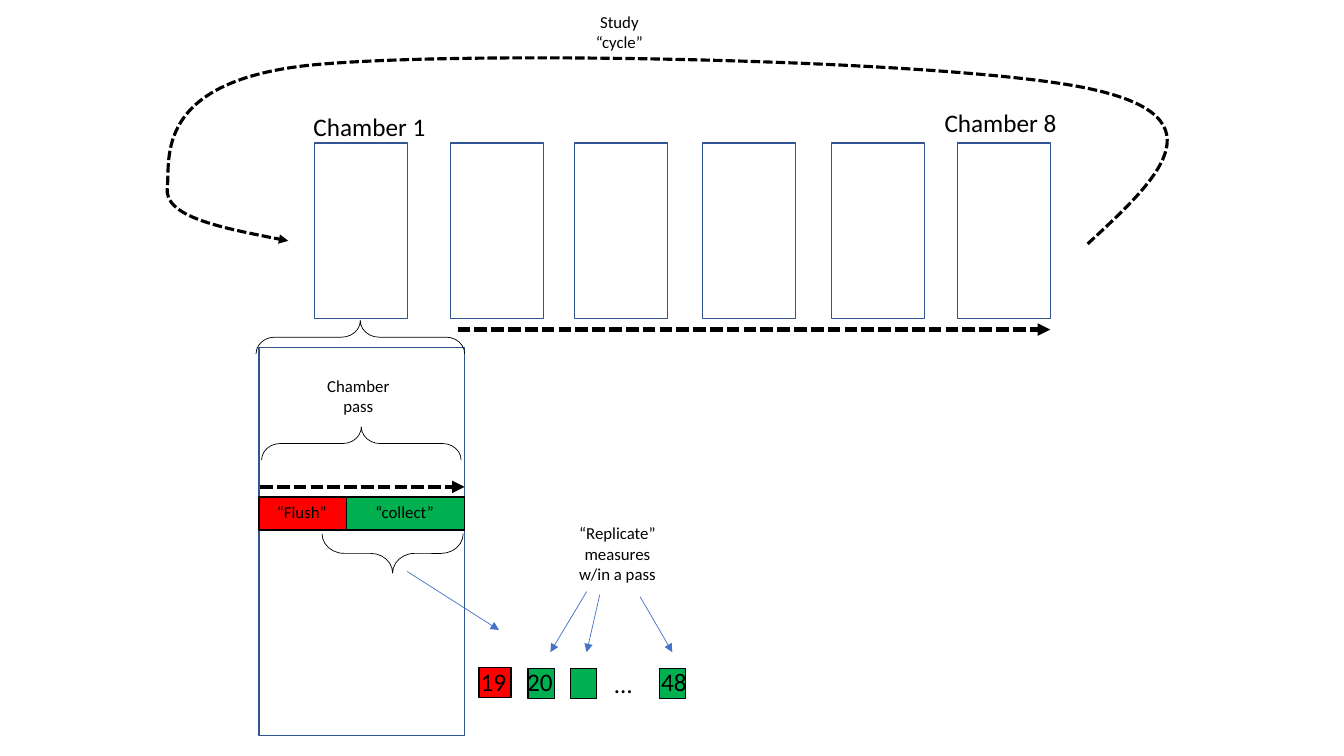
from lxml.etree import SubElement
from pptx import Presentation
from pptx.dml.color import RGBColor
from pptx.enum.dml import MSO_LINE_DASH_STYLE as Dash
from pptx.enum.shapes import MSO_CONNECTOR as Connector, MSO_SHAPE as Preset
from pptx.enum.text import MSO_AUTO_SIZE as AutoSize, PP_ALIGN as Align
from pptx.oxml.ns import qn
from pptx.util import Inches, Pt

COLORS = {
    "outline": "325491",
    "arrow": "4472C4",
    "flush": "FF0000",
    "collect": "00B050",
    "paper": "FFFFFF",
    "ink": "000000",
}
FONT = "Calibri"
COLUMNS, ROWS = 133.33, 75  # square grid cells of a tenth of an inch
CELL = Inches(0.1)


def grid(*cells):
    return [round(cell * CELL) for cell in cells]


def color(name):
    return RGBColor.from_string(COLORS[name])


def style_line(shape, name, width, dashed=False, arrow=False):
    line = shape.line
    line.color.rgb = color(name)
    line.width = Pt(width)
    if dashed:
        line.dash_style = Dash.SQUARE_DOT
    if arrow:
        SubElement(line._get_or_add_ln(), qn("a:tailEnd"), type="triangle")


def add_box(page, left, top, width, height, fill="paper", edge="ink"):
    box = page.shapes.add_shape(Preset.RECTANGLE, *grid(left, top, width, height))
    box.shadow.inherit = False
    box.fill.solid()
    box.fill.fore_color.rgb = color(fill)
    style_line(box, edge, 1)


def add_label(page, text, left, top, width, height, size=12, align=Align.CENTER):
    label = page.shapes.add_textbox(*grid(left, top, width, height))
    frame = label.text_frame
    frame.word_wrap = True
    frame.auto_size = AutoSize.SHAPE_TO_FIT_TEXT
    para = frame.paragraphs[0]
    para.text = text
    para.alignment = align
    para.font.name = FONT
    para.font.size = Pt(size)
    para.font.color.rgb = color("ink")


def add_brace(page, left, top, depth, span, rotation):
    brace = page.shapes.add_shape(Preset.RIGHT_BRACE, *grid(left, top, depth, span))
    brace.shadow.inherit = False
    brace.rotation = rotation
    brace.adjustments[0] = 0.56
    brace.fill.background()
    style_line(brace, "ink", 0.5)


def add_arrow(page, start, end, name="arrow", width=0.5, dashed=False):
    arrow = page.shapes.add_connector(Connector.STRAIGHT, *grid(*start, *end))
    style_line(arrow, name, width, dashed, arrow=True)
    SubElement(arrow._element.spPr, qn("a:effectLst"))


def add_curve(page, frame, start, bends):
    left, top, width, height = grid(*frame)
    builder = page.shapes.build_freeform(*grid(*start))
    builder.add_line_segments([grid(*bend[-1]) for bend in bends], close=False)
    curve = builder.convert_to_shape()
    curve.left, curve.top, curve.width, curve.height = left, top, width, height
    curve.shadow.inherit = False
    curve.fill.background()

    # Turn the straight segments into Bezier bends
    path = next(curve._element.iter(qn("a:path")))
    path.set("w", str(width))
    path.set("h", str(height))
    for segment in list(path):
        path.remove(segment)
    for tag, points in [("a:moveTo", [start])] + [("a:cubicBezTo", b) for b in bends]:
        segment = SubElement(path, qn(tag))
        for point in points:
            x, y = grid(*point)
            SubElement(segment, qn("a:pt"), x=str(x - left), y=str(y - top))
    style_line(curve, "ink", 2.25, dashed=True, arrow=True)


def add_chambers(page):
    for left in (31.2, 44.7, 57, 69.7, 82.5, 95):
        add_box(page, left, 14.2, 9.2, 17.4, edge="outline")
    add_label(page, "Chamber 1", 29.6, 10.6, 14.1, 4, size=18)
    add_label(page, "Chamber 8", 92.2, 10.2, 14.1, 4, size=18)


def add_cycle(page):
    add_curve(page, (16.6, 5.8, 99.2, 18.4), (107.9, 24.2), [
        [(114.6, 18), (121.4, 11.8), (108.5, 8.9)],
        [(95.6, 5.9), (45.8, 4.9), (30.5, 6.5)],
        [(15.2, 8.2), (16.9, 15.8), (16.6, 18.6)],
        [(16.2, 21.5), (22.4, 22.7), (28.6, 23.9)],
    ])
    add_label(page, "Study “cycle”", 57.1, 0.7, 8.7, 5)
    add_arrow(page, (45.4, 32.7), (104.2, 32.7), "ink", 3, dashed=True)


def add_chamber_pass(page):
    add_box(page, 25.7, 34.5, 20.4, 38.5, edge="outline")
    add_box(page, 25.7, 49.3, 8.7, 3.3, "flush")
    add_box(page, 34.4, 49.3, 11.7, 3.3, "collect")
    add_label(page, "“Flush”", 26.3, 49.3, 7.3, 3)
    add_label(page, "“collect”", 35.8, 49.3, 8.7, 3)
    add_label(page, "Chamber pass", 31.2, 36.8, 8.7, 5)
    add_arrow(page, (25.8, 48.3), (46.1, 48.3), "ink", 3, dashed=True)
    add_brace(page, 34.2, 34.1, 3.3, 19.8, 270)
    add_brace(page, 34.1, 23.1, 3.3, 20.7, 270)


def add_replicates(page):
    for left in (52.4, 56.6, 65.4):
        add_box(page, left, 66.3, 2.6, 3, "collect")
    add_box(page, 47.5, 66.2, 3.2, 3, "flush")
    for text, left, top in (("19", 46.7, 65.6), ("20", 51.3, 65.6),
                            ("…", 60, 65.8), ("48", 64.6, 65.6)):
        add_label(page, text, left, top, 4.9, 4, size=18, align=Align.LEFT)
    add_label(page, "“Replicate” measures w/in a pass", 55.8, 51.4, 10.9, 7.1)
    for start, end in (((58.2, 58.7), (54.6, 64.7)), ((59.5, 59), (58.2, 64.7)),
                       ((63.5, 59.2), (66.7, 64.7)), ((40.4, 56.7), (49.5, 62.5))):
        add_arrow(page, start, end)
    add_brace(page, 37, 47.9, 3.9, 14, 90)


def main():
    deck = Presentation()
    deck.slide_width, deck.slide_height = grid(COLUMNS, ROWS)
    page = deck.slides.add_slide(deck.slide_layouts[6])
    add_chambers(page)
    add_cycle(page)
    add_chamber_pass(page)
    add_replicates(page)
    deck.save("out.pptx")


if __name__ == "__main__":
    main()
